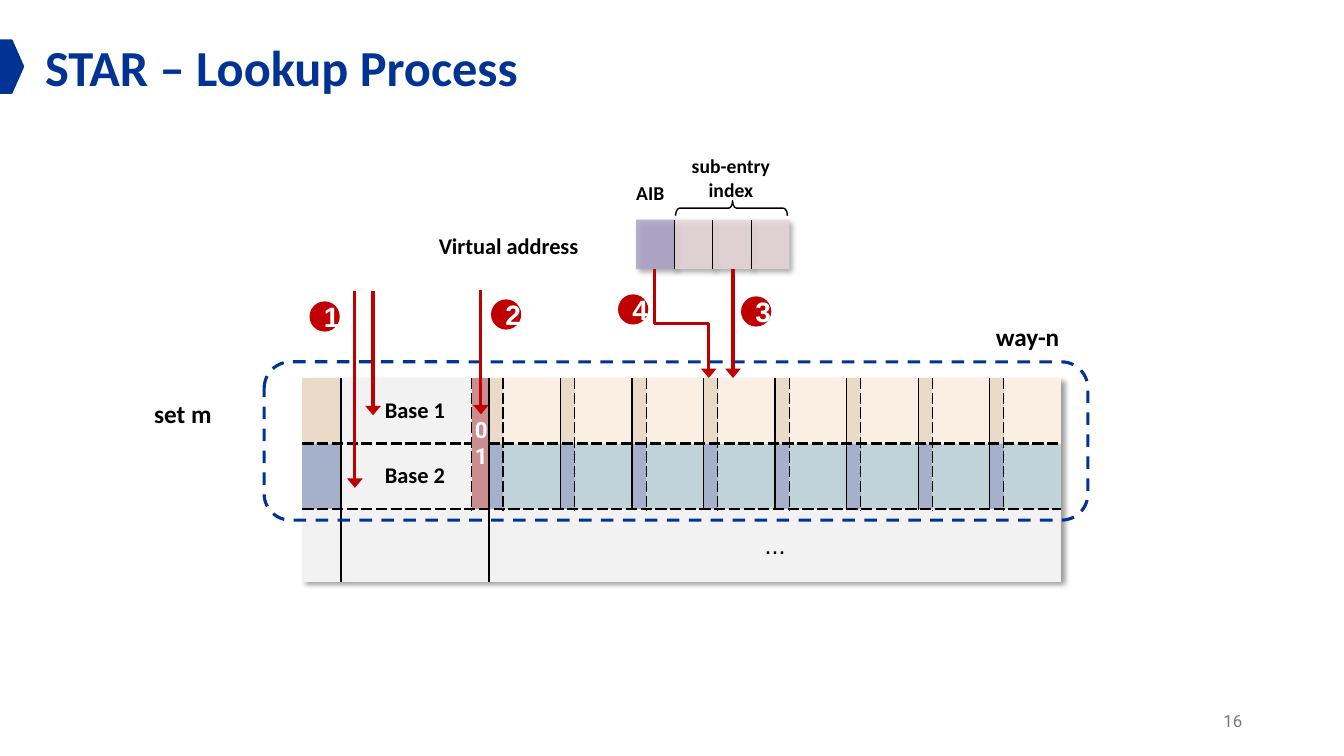
from lxml import etree
from pptx import Presentation
from pptx.dml.color import RGBColor
from pptx.enum.dml import MSO_LINE
from pptx.enum.shapes import MSO_CONNECTOR, MSO_SHAPE
from pptx.enum.text import MSO_ANCHOR, PP_ALIGN
from pptx.oxml import parse_xml
from pptx.oxml.ns import nsdecls, qn
from pptx.util import Inches, Pt

STRAIGHT, ELBOW = MSO_CONNECTOR.STRAIGHT, MSO_CONNECTOR.ELBOW
LEFT, CENTER, RIGHT = PP_ALIGN.LEFT, PP_ALIGN.CENTER, PP_ALIGN.RIGHT
TOP, MIDDLE = MSO_ANCHOR.TOP, MSO_ANCHOR.MIDDLE
PENTAGON, OVAL = MSO_SHAPE.PENTAGON, MSO_SHAPE.OVAL
ROUNDED_RECTANGLE, RIGHT_BRACE = MSO_SHAPE.ROUNDED_RECTANGLE, MSO_SHAPE.RIGHT_BRACE
DASH = MSO_LINE.DASH

NAVY = RGBColor(0x00, 0x33, 0x93)
RED = RGBColor(0xC0, 0x00, 0x00)
BLACK = RGBColor(0x00, 0x00, 0x00)
WHITE = RGBColor(0xFF, 0xFF, 0xFF)
GRAY = RGBColor(0x79, 0x79, 0x79)
PALE_GRAY = RGBColor(0xF2, 0xF2, 0xF2)
ROSE = RGBColor(0xCC, 0x8D, 0x90)
PURPLE = RGBColor(0xAA, 0xA2, 0xC6)
PINK = RGBColor(0xEA, 0xD9, 0xDC)
TAN, CREAM = RGBColor(0xEA, 0xDB, 0xC9), RGBColor(0xFA, 0xEF, 0xE2)
BLUE, TEAL = RGBColor(0xA5, 0xB1, 0xCA), RGBColor(0xC0, 0xD3, 0xD9)

# Cell borders: width in points and dash style
THIN, MEDIUM = (1, "solid"), (1.5, "solid")
THIN_DASH, THICK_DASH = (1, "sysDash"), (2.25, "sysDash")

SUB_ENTRIES = 8
PLAIN_TABLE_STYLE = "{2D5ABB26-0587-4C30-8999-92F81FD0307C}"


def write_text(frame, text, size=16, font="Calibri", color=BLACK, bold=True,
               align=LEFT, anchor=TOP, wrap=True):
    """Fill a text frame, one paragraph for each line of text."""
    frame.word_wrap = wrap
    frame.vertical_anchor = anchor
    for index, line in enumerate(text.split("\n")):
        paragraph = frame.paragraphs[0] if index == 0 else frame.add_paragraph()
        paragraph.alignment = align
        run = paragraph.add_run()
        run.text = line
        run.font.size = Pt(size)
        run.font.name = font
        run.font.bold = bold
        run.font.color.rgb = color


def add_label(slide, box, text, **text_format):
    label = slide.shapes.add_textbox(*map(Inches, box))
    write_text(label.text_frame, text, **text_format)


def add_preset(slide, kind, box, fill=None, line=None, width=1.5):
    shape = slide.shapes.add_shape(kind, *map(Inches, box))
    shape.shadow.inherit = False
    if fill is None:
        shape.fill.background()
    else:
        shape.fill.solid()
        shape.fill.fore_color.rgb = fill
    if line is None:
        shape.line.fill.background()
    else:
        shape.line.color.rgb = line
        shape.line.width = Pt(width)
    return shape


def add_step(slide, number, left, top):
    circle = add_preset(slide, OVAL, (left, top, 0.3, 0.3), fill=RED)
    write_text(circle.text_frame, number, size=20, font="Arial", color=WHITE,
               align=CENTER, anchor=MIDDLE)


def add_arrow(slide, start, end, kind=STRAIGHT):
    arrow = slide.shapes.add_connector(kind, *map(Inches, start + end))
    arrow.line.color.rgb = RED
    arrow.line.width = Pt(2.25)
    line = arrow.line._get_or_add_ln()
    etree.SubElement(line, qn("a:tailEnd"), type="triangle", w="lg")
    etree.SubElement(arrow._element.spPr, qn("a:effectLst"))
    return arrow


def add_plain_table(slide, left, top, columns, rows):
    """Add an unstyled table with a soft shadow."""
    frame = slide.shapes.add_table(len(rows), len(columns), Inches(left), Inches(top),
                                   Inches(sum(columns)), Inches(sum(rows)))
    table = frame.table
    table.first_row = table.horz_banding = False
    for column, width in zip(table.columns, columns):
        column.width = Inches(width)
    for row, height in zip(table.rows, rows):
        row.height = Inches(height)
    properties = table._tbl.tblPr
    properties.find(qn("a:tableStyleId")).text = PLAIN_TABLE_STYLE
    properties.insert(0, parse_xml(
        f'<a:effectLst {nsdecls("a")}><a:outerShdw blurRad="50800" dist="38100" '
        'dir="2700000" algn="tl"><a:srgbClr val="000000"><a:alpha val="40000"/>'
        '</a:srgbClr></a:outerShdw></a:effectLst>'))
    return table


def format_cell(cell, fill, borders, opacity=100):
    """Set borders in the order left, right, top, bottom, then the fill."""
    # Zero margins let the narrow columns keep their width
    cell.margin_left = cell.margin_right = cell.margin_top = cell.margin_bottom = 0
    properties = cell._tc.get_or_add_tcPr()
    for side, border in zip("LRTB", borders):
        width, dash = border or (0, None)
        line = etree.SubElement(properties, qn("a:ln" + side), w=str(Pt(width)))
        if border is None:
            etree.SubElement(line, qn("a:noFill"))
            continue
        paint = etree.SubElement(line, qn("a:solidFill"))
        etree.SubElement(paint, qn("a:srgbClr"), val=str(BLACK))
        etree.SubElement(line, qn("a:prstDash"), val=dash)
    cell.fill.solid()
    cell.fill.fore_color.rgb = fill
    if opacity < 100:
        color = properties.find(qn("a:solidFill")).find(qn("a:srgbClr"))
        etree.SubElement(color, qn("a:alpha"), val=str(opacity * 1000))


def vertical_border(row, edge):
    if edge in (0, 3 + 2 * SUB_ENTRIES):
        return None
    if edge == 1:
        return MEDIUM
    if row == 2:
        return THIN if edge == 3 else None
    return THIN if edge % 2 else THIN_DASH


def horizontal_border(edge, column):
    if edge in (0, 3) or (edge == 1 and column == 2):
        return None
    return THICK_DASH


def entry_fill(row, column):
    if row == 2 or column == 1:
        return PALE_GRAY
    if column == 2:
        return ROSE
    tag, data = ((TAN, CREAM), (BLUE, TEAL))[row]
    return tag if column == 0 or column % 2 else data


def write_cell(cell, text, indent=0, **text_format):
    cell.margin_left = Inches(indent)
    write_text(cell.text_frame, text, align=CENTER, **text_format)
    cell.vertical_anchor = MIDDLE


def add_entry_table(slide):
    columns = [0.38, 1.3, 0.17] + [0.14, 0.57] * SUB_ENTRIES
    table = add_plain_table(slide, 3, 3.75, columns, [0.65, 0.65, 0.72])
    for row in range(3):
        for column in range(len(columns)):
            borders = (vertical_border(row, column), vertical_border(row, column + 1),
                       horizontal_border(row, column), horizontal_border(row + 1, column))
            format_cell(table.cell(row, column), entry_fill(row, column), borders)
    table.cell(0, 2).merge(table.cell(1, 2))
    table.cell(2, 1).merge(table.cell(2, 2))
    table.cell(2, 3).merge(table.cell(2, len(columns) - 1))
    write_cell(table.cell(0, 1), "Base 1", indent=0.17)
    write_cell(table.cell(1, 1), "Base 2", indent=0.17)
    write_cell(table.cell(0, 2), "0\n1", indent=0.02, font="Roboto", color=WHITE)
    write_cell(table.cell(2, 3), "...", size=18, font="Arial", bold=False)


def add_address_table(slide):
    table = add_plain_table(slide, 6.31, 2.18, [0.38] * 4, [0.49])
    for column, fill in enumerate([PURPLE, PINK, PINK, PINK]):
        borders = (THIN if column else None, THIN if column < 3 else None, None, None)
        format_cell(table.cell(0, column), fill, borders, opacity=82)


def main():
    presentation = Presentation()
    presentation.slide_width, presentation.slide_height = Inches(13.33), Inches(7.5)
    slide = presentation.slides.add_slide(presentation.slide_layouts[6])

    # Title and page number
    add_label(slide, (0.35, 0.31, 12.56, 0.71), "STAR – Lookup Process", size=36, color=NAVY)
    add_preset(slide, PENTAGON, (0, 0.4, 0.23, 0.52), fill=NAVY, line=NAVY)
    add_label(slide, (9.42, 6.95, 3, 0.4), "16", size=12, font="Roboto", color=GRAY,
              bold=False, align=RIGHT, anchor=MIDDLE)

    # Entries of one set
    add_label(slide, (1.43, 3.9, 1.09, 0.4), "set m", size=18)
    add_entry_table(slide)
    add_label(slide, (9.78, 3.14, 1.02, 0.4), "way-n", size=18)
    outline = add_preset(slide, ROUNDED_RECTANGLE, (2.62, 3.59, 8.17, 1.57),
                         line=NAVY, width=2.25)
    outline.line.dash_style = DASH

    # Virtual address
    add_label(slide, (3.96, 2.25, 2.17, 0.37), "Virtual address", align=CENTER)
    add_address_table(slide)
    add_label(slide, (6.75, 1.48, 1, 0.57), "sub-entry\nindex", size=14, align=CENTER, wrap=False)
    add_label(slide, (6.2, 1.75, 0.5, 0.34), "AIB", size=14, align=CENTER, wrap=False)
    brace = add_preset(slide, RIGHT_BRACE, (7.18, 1.51, 0.15, 1.11), line=BLACK, width=1)
    brace.adjustments[0], brace.adjustments[1] = 0.26, 0.51
    brace.rotation = 270

    # Lookup arrows and step numbers
    for x, top, bottom in ((3.7, 2.89, 4.12), (3.52, 2.89, 4.84),
                           (4.77, 2.88, 4.11), (7.27, 2.67, 3.75)):
        add_arrow(slide, (x, top), (x, bottom))
    bent_arrow = add_arrow(slide, (7.3, 2.94), (6.22, 3.48), ELBOW)
    bent_arrow._element.spPr.find(qn("a:xfrm")).set("rot", str(270 * 60000))
    for number, left, top in (("1", 3.07, 2.99), ("2", 4.87, 2.97),
                              ("4", 6.13, 2.92), ("3", 7.35, 2.94)):
        add_step(slide, number, left, top)

    presentation.save("out.pptx")


if __name__ == "__main__":
    main()
